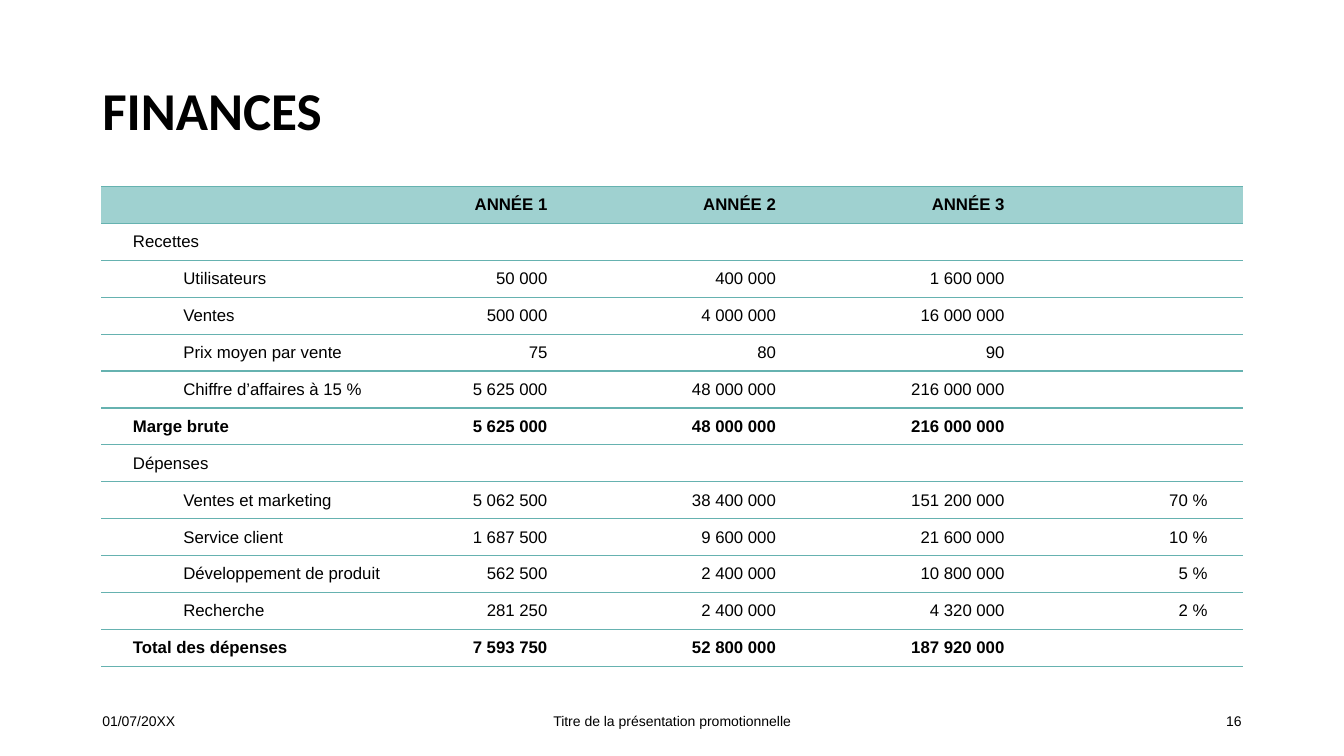
from dataclasses import dataclass

from lxml import etree
from pptx import Presentation
from pptx.dml.color import RGBColor
from pptx.enum.text import MSO_ANCHOR, PP_ALIGN
from pptx.oxml.ns import qn
from pptx.util import Cm, Pt

LEFT, CENTER, RIGHT = PP_ALIGN.LEFT, PP_ALIGN.CENTER, PP_ALIGN.RIGHT
MIDDLE = MSO_ANCHOR.MIDDLE


@dataclass(frozen=True)
class Theme:
    text: str = "000000"
    header: str = "9FD1D0"
    rule: str = "66B2B0"
    title_font: str = "Calibri"
    body_font: str = "Arial"
    title_size: int = 38
    table_size: int = 12
    footer_size: int = 10
    rule_width: int = 1


THEME = Theme()

# Column widths and row height in cm
COLUMNS = [7.49, 4.01, 5.76, 5.76, 5.76]
ROW_HEIGHT = 0.93

# Kinds of table row
HEADER, SECTION, DETAIL, TOTAL = "header", "section", "detail", "total"

# Kind, label, amount for each year, share
ROWS = [
    (HEADER, "", ["ANNÉE 1", "ANNÉE 2", "ANNÉE 3"], ""),
    (SECTION, "Recettes", [], ""),
    (DETAIL, "Utilisateurs", [50000, 400000, 1600000], ""),
    (DETAIL, "Ventes", [500000, 4000000, 16000000], ""),
    (DETAIL, "Prix moyen par vente", [75, 80, 90], ""),
    (DETAIL, "Chiffre d’affaires à 15 %", [5625000, 48000000, 216000000], ""),
    (TOTAL, "Marge brute", [5625000, 48000000, 216000000], ""),
    (SECTION, "Dépenses", [], ""),
    (DETAIL, "Ventes et marketing", [5062500, 38400000, 151200000], "70 %"),
    (DETAIL, "Service client", [1687500, 9600000, 21600000], "10 %"),
    (DETAIL, "Développement de produit", [562500, 2400000, 10800000], "5 %"),
    (DETAIL, "Recherche", [281250, 2400000, 4320000], "2 %"),
    (TOTAL, "Total des dépenses", [7593750, 52800000, 187920000], ""),
]


def format_amount(value):
    """Group thousands with a no-break space; leave words alone."""
    return f"{value:,}".replace(",", " ") if isinstance(value, int) else value


def write(tf, text, size, font=THEME.body_font, align=LEFT, bold=False):
    tf.text = text
    p = tf.paragraphs[0]
    p.alignment = align
    for r in p.runs:
        r.font.name = font
        r.font.size = Pt(size)
        r.font.bold = bold
        r.font.color.rgb = RGBColor.from_string(THEME.text)
    return p


def add_text(slide, left, top, width, height, text, size, **style):
    tf = slide.shapes.add_textbox(Cm(left), Cm(top), Cm(width), Cm(height)).text_frame
    tf.word_wrap = True
    tf.vertical_anchor = MIDDLE
    return write(tf, text, size, **style)


def set_borders(cell):
    """Rule the top and bottom of a cell and clear its sides."""
    tcPr = cell._tc.get_or_add_tcPr()
    for i, side in enumerate(("lnL", "lnR", "lnT", "lnB")):
        ln = etree.Element(qn(f"a:{side}"))
        if side in ("lnT", "lnB"):
            ln.set("w", str(Pt(THEME.rule_width)))
            fill = etree.SubElement(ln, qn("a:solidFill"))
            etree.SubElement(fill, qn("a:srgbClr"), val=THEME.rule)
        else:
            etree.SubElement(ln, qn("a:noFill"))
        tcPr.insert(i, ln)


def fill_cell(cell, text, kind, column):
    cell.vertical_anchor = MIDDLE
    cell.margin_top = cell.margin_bottom = 0
    if column == 0:
        cell.margin_left = Cm(0.8)
    elif column == len(COLUMNS) - 1:
        cell.margin_right = Cm(0.9)
    p = write(cell.text_frame, text, THEME.table_size,
              align=RIGHT if column else LEFT, bold=kind in (HEADER, TOTAL))
    if kind == DETAIL and column == 0:
        p.level = 1
        pPr = p._p.get_or_add_pPr()
        pPr.set("marL", str(Cm(1.27)))
        pPr.set("indent", "0")
    if kind == HEADER:
        cell.fill.solid()
        cell.fill.fore_color.rgb = RGBColor.from_string(THEME.header)
    else:
        cell.fill.background()
    set_borders(cell)


def add_finance_table(slide, left, top):
    table = slide.shapes.add_table(
        len(ROWS), len(COLUMNS), Cm(left), Cm(top),
        Cm(sum(COLUMNS)), Cm(ROW_HEIGHT * len(ROWS))).table
    table.first_row = table.horz_banding = False
    for column, width in zip(table.columns, COLUMNS):
        column.width = Cm(width)
    for i, (kind, label, amounts, share) in enumerate(ROWS):
        table.rows[i].height = Cm(ROW_HEIGHT)
        years = [format_amount(a) for a in amounts] or [""] * 3
        for j, text in enumerate([label, *years, share]):
            fill_cell(table.cell(i, j), text, kind, j)


def add_footer(slide):
    for left, width, text, align in (
        (2.33, 7.62, "01/07/20XX", LEFT),
        (11.22, 11.43, "Titre de la présentation promotionnelle", CENTER),
        (23.92, 7.62, "16", RIGHT),
    ):
        add_text(slide, left, 17.65, width, 1.02, text, THEME.footer_size, align=align)


def main():
    prs = Presentation()
    prs.slide_width, prs.slide_height = Cm(33.87), Cm(19.05)
    slide = prs.slides.add_slide(prs.slide_layouts[6])

    # Title
    title = add_text(slide, 2.33, 1.02, 29.21, 3.68, "FINANCES", THEME.title_size,
                     font=THEME.title_font, bold=True)
    title.line_spacing = 0.9

    # Table and footer
    add_finance_table(slide, 2.55, 4.7)
    add_footer(slide)

    prs.save("out.pptx")


if __name__ == "__main__":
    main()
